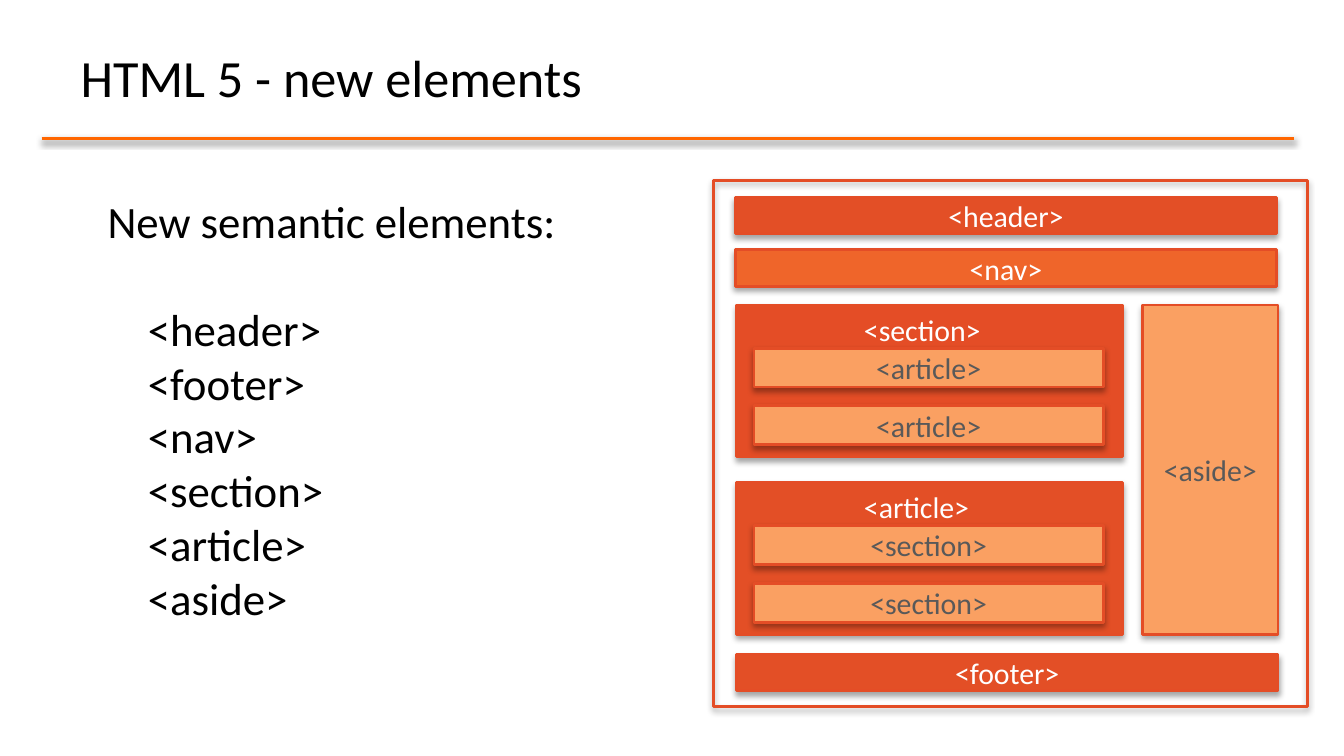
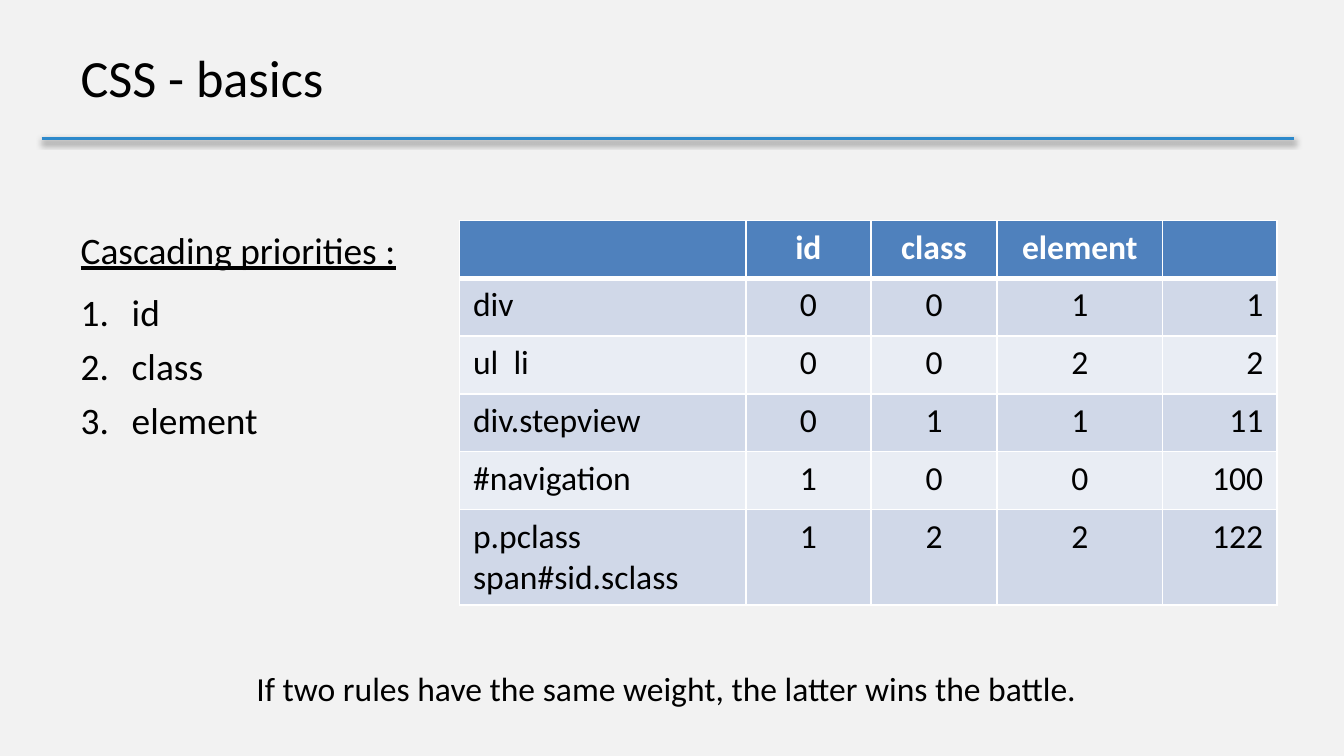
import lxml.etree
import pptx
import pptx.dml.color
import pptx.enum.shapes
import pptx.enum.text
import pptx.oxml.ns
import pptx.util

RGBColor = pptx.dml.color.RGBColor
Align = pptx.enum.text.PP_ALIGN
qn = pptx.oxml.ns.qn

PX = 9144  # EMU per px: 100 px to the inch
SLIDE_WIDTH = 1000
FONT = "Calibri"

BLACK = RGBColor(0x00, 0x00, 0x00)
WHITE = RGBColor(0xFF, 0xFF, 0xFF)
GREY_TEXT = RGBColor(0x59, 0x59, 0x59)
PALE_GREY = RGBColor(0xF2, 0xF2, 0xF2)
HTML_RULE = RGBColor(0xFF, 0x66, 0x00)
CSS_RULE = RGBColor(0x2D, 0x89, 0xCB)
OUTLINE = RGBColor(0xE4, 0x4D, 0x26)
RED = RGBColor(0xE3, 0x4F, 0x26)
ORANGE = RGBColor(0xEF, 0x65, 0x2A)
PEACH = RGBColor(0xFA, 0xA0, 0x62)
HEADER_BLUE = RGBColor(0x4F, 0x81, 0xBD)
BANDS = (RGBColor(0xD0, 0xD8, 0xE8), RGBColor(0xE9, 0xED, 0xF4))

COLUMN_WIDTHS = (213, 93, 94, 123, 85)
COLUMN_ALIGNS = (Align.LEFT, Align.CENTER, Align.CENTER, Align.CENTER, Align.RIGHT)
SPECIFICITY = (
    ("", "id", "class", "element", ""),
    ("div", "0", "0", "1", "1"),
    ("ul  li", "0", "0", "2", "2"),
    ("div.stepview", "0", "1", "1", "11"),
    ("#navigation", "1", "0", "0", "100"),
    ("p.pclass span#sid.sclass", "1", "2", "2", "122"),
)


def emu(*lengths):
    return [length * PX for length in lengths]


def style_text(paragraph, size, color=BLACK, align=Align.LEFT, bold=False):
    paragraph.alignment = align
    font = paragraph.font
    font.name = FONT
    font.size = pptx.util.Pt(size)
    font.bold = bold
    font.color.rgb = color


def add_shadow(shape, opacity, distance):
    """Cast a soft shadow downwards; call after fill and line are set."""
    effects = lxml.etree.SubElement(shape.element.spPr, qn("a:effectLst"))
    shadow = lxml.etree.SubElement(
        effects, qn("a:outerShdw"), blurRad="40000", dist=str(distance),
        dir="5400000", rotWithShape="0")
    black = lxml.etree.SubElement(shadow, qn("a:srgbClr"), val=str(BLACK))
    lxml.etree.SubElement(black, qn("a:alpha"), val=str(opacity * 1000))


def place(shape, left, top, width, height):
    shape.left, shape.top, shape.width, shape.height = emu(left, top, width, height)


def add_titled_slide(deck, title, background, rule_color):
    slide = deck.slides.add_slide(deck.slide_layouts[1])
    slide.background.fill.solid()
    slide.background.fill.fore_color.rgb = background

    heading = slide.shapes.title
    place(heading, 50, 10, 900, 94)
    heading.text_frame.text = title
    heading.text_frame.auto_size = pptx.enum.text.MSO_AUTO_SIZE.NONE
    style_text(heading.text_frame.paragraphs[0], 28)

    rule = slide.shapes.add_connector(
        pptx.enum.shapes.MSO_CONNECTOR.STRAIGHT, *emu(31, 103, 963, 103))
    rule.line.color.rgb = rule_color
    rule.line.width = pptx.util.Pt(2)
    add_shadow(rule, 38, 20000)
    return slide


def fill_body(slide, box, lines, size, indent, numbered=False):
    """Write a heading line and its list; return the paragraphs."""
    body = slide.placeholders[1]
    place(body, *box)
    frame = body.text_frame
    frame.text = "\n".join(lines)
    frame.auto_size = pptx.enum.text.MSO_AUTO_SIZE.NONE
    for index, paragraph in enumerate(frame.paragraphs):
        paragraph.space_before = pptx.util.Pt(0)
        properties = paragraph._p.get_or_add_pPr()
        hanging = numbered and index > 0
        properties.set("marL", str(indent * PX if index else 0))
        properties.set("indent", str(-indent * PX if hanging else 0))
        if hanging:
            lxml.etree.SubElement(properties, qn("a:buAutoNum"), type="arabicPeriod")
        else:
            lxml.etree.SubElement(properties, qn("a:buNone"))
        style_text(paragraph, size)
    return frame.paragraphs


def add_box(slide, left, top, width, height, fill=None, label="", color=WHITE):
    box = slide.shapes.add_shape(
        pptx.enum.shapes.MSO_SHAPE.RECTANGLE, *emu(left, top, width, height))
    if fill is None:
        box.fill.background()
    else:
        box.fill.solid()
        box.fill.fore_color.rgb = fill
    box.line.color.rgb = OUTLINE
    box.line.width = pptx.util.Pt(1.5)
    add_shadow(box, 35, 23000)
    if label:
        box.text_frame.text = label
        style_text(box.text_frame.paragraphs[0], 16, color, Align.CENTER)


def add_label(slide, left, top, width, height, text, size, color):
    label = slide.shapes.add_textbox(*emu(left, top, width, height))
    label.text_frame.word_wrap = False
    label.text_frame.text = text
    style_text(label.text_frame.paragraphs[0], size, color)


def add_nested_group(slide, top, fill, outer, inner):
    """Draw an outer element that holds two inner ones."""
    add_box(slide, 548, top, 287, 113, fill)
    for offset in (32, 75):
        add_box(slide, 561, top + offset, 260, 29, PEACH, inner, GREY_TEXT)
    add_label(slide, 633, top, 109, 37, outer, 16, WHITE)


def set_borders(cell, top, bottom):
    properties = cell._tc.get_or_add_tcPr()
    for side, points in (("L", 1), ("R", 1), ("T", top), ("B", bottom)):
        border = lxml.etree.SubElement(
            properties, qn(f"a:ln{side}"), w=str(pptx.util.Pt(points)))
        paint = lxml.etree.SubElement(border, qn("a:solidFill"))
        lxml.etree.SubElement(paint, qn("a:srgbClr"), val=str(WHITE))


def add_specificity_table(slide):
    row_height, last_height = 43, 70
    rows = len(SPECIFICITY)
    height = row_height * (rows - 1) + last_height
    table = slide.shapes.add_table(
        rows, len(COLUMN_WIDTHS), *emu(342, 164, sum(COLUMN_WIDTHS), height)).table
    for column, width in zip(table.columns, COLUMN_WIDTHS):
        column.width = width * PX
    for r, values in enumerate(SPECIFICITY):
        header = r == 0
        table.rows[r].height = (last_height if r == rows - 1 else row_height) * PX
        for c, value in enumerate(values):
            cell = table.cell(r, c)
            set_borders(cell, 3 if r == 1 else 1, 3 if header else 1)
            cell.fill.solid()
            cell.fill.fore_color.rgb = HEADER_BLUE if header else BANDS[(r - 1) % 2]
            cell.text = value
            style_text(cell.text_frame.paragraphs[0], 18,
                       WHITE if header else BLACK,
                       Align.CENTER if header else COLUMN_ALIGNS[c], header)


def build_html_slide(deck):
    slide = add_titled_slide(deck, "HTML 5 - new elements", WHITE, HTML_RULE)
    elements = fill_body(
        slide, (70, 139, 412, 374),
        ("New semantic elements:", "<header>", "<footer>", "<nav>",
         "<section>", "<article>", "<aside>"), 24, 30)
    elements[1].space_before = pptx.util.Pt(29)

    add_box(slide, 531, 134, 442, 392)
    for left, top, fill, label in ((547, 147, RED, "<header>"),
                                   (547, 186, ORANGE, "<nav>"),
                                   (548, 487, RED, "<footer>")):
        add_box(slide, left, top, 403, 27, fill, label)
    add_box(slide, 850, 227, 101, 245, PEACH, "<aside>", GREY_TEXT)
    add_nested_group(slide, 227, OUTLINE, "<section>", "<article>")
    add_nested_group(slide, 359, RED, "<article>", "<section>")


def build_css_slide(deck):
    slide = add_titled_slide(deck, "CSS - basics", PALE_GREY, CSS_RULE)
    priorities = fill_body(
        slide, (50, 157, 312, 177),
        ("Cascading priorities :", "id", "class", "element"), 20, 38, numbered=True)
    for paragraph, spacing in zip(priorities, (1.2, 1.4, 1.2, 1.2)):
        paragraph.line_spacing = spacing
    priorities[0].font.underline = True

    add_specificity_table(slide)
    add_label(slide, 181, 492, 639, 40,
              "If two rules have the same weight, the latter wins the battle.", 18, BLACK)


def main():
    deck = pptx.Presentation()
    deck.slide_width = SLIDE_WIDTH * PX
    deck.slide_height = deck.slide_width * 9 // 16
    build_html_slide(deck)
    build_css_slide(deck)
    deck.save("out.pptx")


if __name__ == "__main__":
    main()
